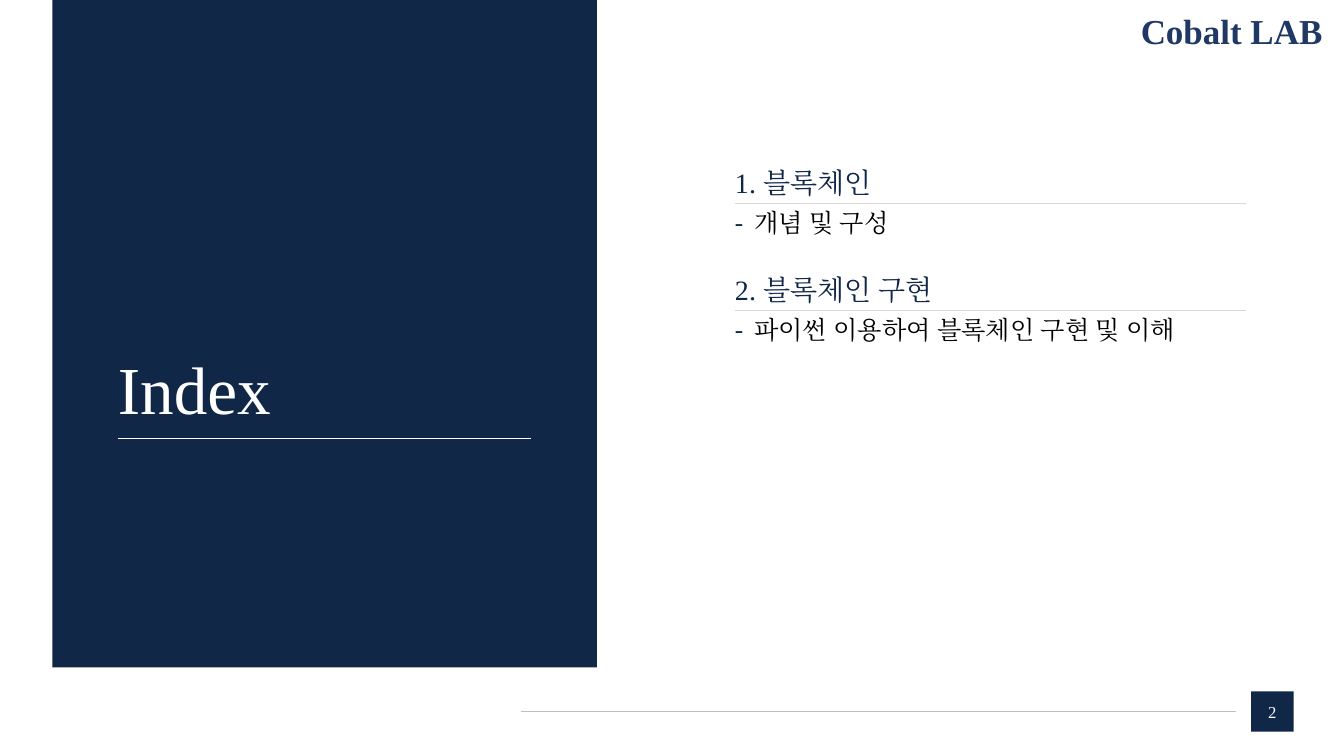
"""Build the index slide of a blockchain talk."""
from lxml import etree
from pptx import Presentation
from pptx import util as u
from pptx.dml.color import RGBColor
from pptx.enum import shapes, text
from pptx.oxml.ns import qn

FONT = "Times New Roman"
NAVY, WHITE, BLACK = "102747", "FFFFFF", "000000"
LAB_NAME = "Cobalt LAB"
TITLE = "Index"
PAGE_NUMBER = "2"
SECTIONS = [
    ("1. 블록체인", "개념 및 구성"),
    ("2. 블록체인 구현", "파이썬 이용하여 블록체인 구현 및 이해"),
]
PANEL = (0.52, 0, 5.4, 6.62)
PAGE_BOX = (12.41, 6.86, 0.42, 0.4)
RULES = [(5.17, 12.26, 7.06, "BFBFBF"), (1.17, 5.27, 4.35, WHITE)]
LIST_LEFT, LIST_TOP, LIST_WIDTH, LIST_STEP = 7.29, 1.64, 5.07, 1.06


def color(value):
    return RGBColor.from_string(value)


def add_block(slide, box):
    shape = slide.shapes.add_shape(
        shapes.MSO_SHAPE.RECTANGLE, *map(u.Inches, box))
    shape.shadow.inherit = False
    shape.fill.solid()
    shape.fill.fore_color.rgb = color(NAVY)
    shape.line.fill.background()
    return shape


def add_rule(slide, left, right, top, line_color):
    line = slide.shapes.add_connector(
        shapes.MSO_CONNECTOR.STRAIGHT,
        u.Inches(left), u.Inches(top), u.Inches(right), u.Inches(top))
    line.line.color.rgb = color(line_color)
    line.line.width = u.Pt(0.5)
    etree.SubElement(line._element.spPr, qn("a:effectLst"))


def write(shape, content, size, font_color, anchor="MIDDLE", align="LEFT",
          bold=False, inset=None, grow=False, spacing=None, after=None):
    frame = shape.text_frame
    frame.word_wrap = True
    frame.vertical_anchor = text.MSO_ANCHOR[anchor]
    if grow:
        frame.auto_size = text.MSO_AUTO_SIZE.SHAPE_TO_FIT_TEXT
    if inset is not None:
        frame.margin_left = frame.margin_right = u.Inches(inset)
        frame.margin_top = frame.margin_bottom = u.Inches(inset)
    paragraph = frame.paragraphs[0]
    paragraph.alignment = text.PP_ALIGN[align]
    if spacing:
        paragraph.line_spacing = spacing
    if after:
        paragraph.space_after = u.Pt(after)
    run = paragraph.add_run()
    run.text = content
    run.font.name = FONT
    run.font.size = u.Pt(size)
    run.font.bold = bold
    run.font.color.rgb = color(font_color)
    east_asian = etree.SubElement(run.font._element, qn("a:ea"))
    east_asian.set("typeface", FONT)
    return paragraph


def add_text(slide, box, content, **style):
    shape = slide.shapes.add_textbox(*map(u.Inches, box))
    return write(shape, content, **style)


def add_dash(paragraph):
    properties = paragraph._p.get_or_add_pPr()
    properties.set("marL", str(u.Inches(0.19)))
    properties.set("indent", str(-u.Inches(0.19)))
    bullet_color = etree.SubElement(properties, qn("a:buClr"))
    etree.SubElement(bullet_color, qn("a:srgbClr")).set("val", NAVY)
    etree.SubElement(properties, qn("a:buFont")).set("typeface", FONT)
    etree.SubElement(properties, qn("a:buChar")).set("char", "-")


def add_section(slide, top, heading, detail):
    add_text(slide, (LIST_LEFT, top, LIST_WIDTH, 0.34), heading, size=20,
             font_color=NAVY, anchor="BOTTOM", inset=0, grow=True, after=12)
    add_rule(slide, LIST_LEFT, LIST_LEFT + LIST_WIDTH, top + 0.38, "D9D9D9")
    add_dash(add_text(slide, (LIST_LEFT, top + 0.42, LIST_WIDTH, 0.3), detail,
                      size=18, font_color=BLACK, anchor="TOP", inset=0,
                      grow=True, after=12))


def main():
    presentation = Presentation()
    presentation.slide_width = u.Inches(13.33)
    presentation.slide_height = u.Inches(7.5)
    slide = presentation.slides.add_slide(presentation.slide_layouts[6])

    write(add_block(slide, PAGE_BOX), PAGE_NUMBER, size=12, font_color=WHITE,
          align="CENTER")
    add_block(slide, PANEL)
    for rule in RULES:
        add_rule(slide, *rule)
    add_text(slide, (1.17, 3.53, 4.1, 0.73), TITLE, size=48, font_color=WHITE,
             inset=0, grow=True, spacing=0.9)
    add_text(slide, (11.01, -0.31, 2.41, 0.88), LAB_NAME, size=25,
             font_color="203864", anchor="BOTTOM", align="CENTER", bold=True,
             spacing=0.9)
    for index, (heading, detail) in enumerate(SECTIONS):
        add_section(slide, LIST_TOP + index * LIST_STEP, heading, detail)

    presentation.save("out.pptx")


if __name__ == "__main__":
    main()
